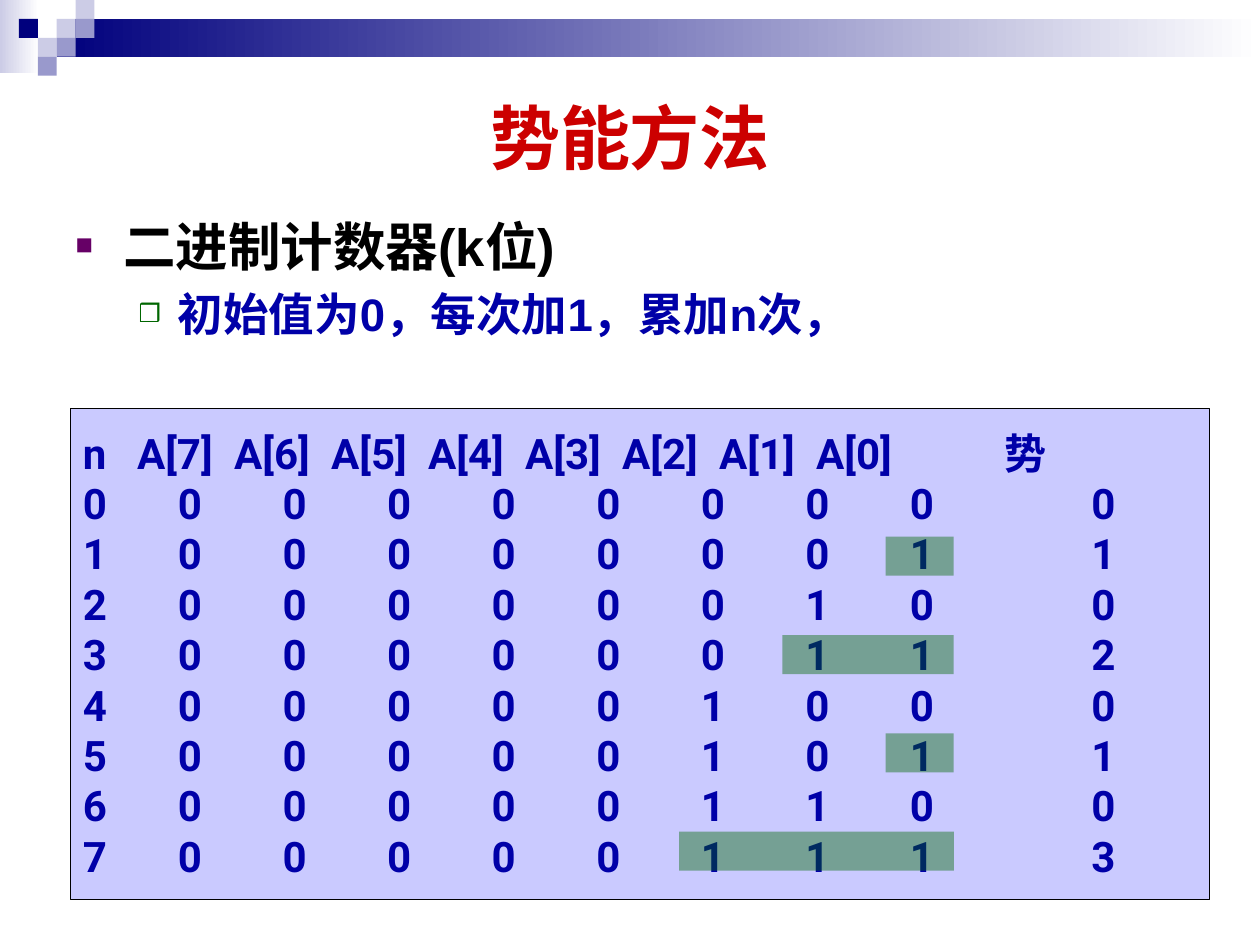
from dataclasses import dataclass

from lxml import etree
from pptx import Presentation
from pptx import util as u
from pptx.dml.color import RGBColor
from pptx.enum import shapes, text
from pptx.oxml import ns


@dataclass(frozen=True)
class Theme:
    """Colours, fonts and type sizes of the slide."""
    red: str = "CC0000"
    black: str = "000000"
    white: str = "FFFFFF"
    navy: str = "00007D"
    blue: str = "0000A8"
    lilac: str = "9999CC"
    pale: str = "CCCCE6"
    panel: str = "CACAFF"
    green: str = "006600"
    purple: str = "660066"
    font: str = "Arial"
    counter_font: str = "Roboto"
    title_size: int = 40
    list_sizes: tuple = (30, 26)
    counter_size: int = 24


def add_xml(parent, tag, **attributes):
    """Append a DrawingML element and return it."""
    return etree.SubElement(parent, ns.qn(tag), attributes)


class SlideBuilder:
    """Holds the theme and the current slide."""

    def __init__(self, deck, theme):
        """Start a slide with a title and a body."""
        self.theme = theme
        self.slide = deck.slides.add_slide(deck.slide_layouts[1])

    def style(self, paragraph, size, color, font):
        """Format every run of a paragraph."""
        for run in paragraph.runs:
            run.font.size = u.Pt(size)
            run.font.name = font
            run.font.bold = True
            run.font.color.rgb = RGBColor.from_string(color)

    def place(self, holder, left, top, width, height):
        """Move a placeholder and keep its type size fixed."""
        holder.left, holder.top = u.Inches(left), u.Inches(top)
        holder.width, holder.height = u.Inches(width), u.Inches(height)
        holder.text_frame.auto_size = text.MSO_AUTO_SIZE.NONE

    def title(self, wording, *box):
        """Fill the title placeholder."""
        holder = self.slide.shapes.title
        self.place(holder, *box)
        holder.text_frame.text = wording
        holder.text_frame.vertical_anchor = text.MSO_ANCHOR.MIDDLE
        heading = holder.text_frame.paragraphs[0]
        heading.alignment = text.PP_ALIGN.CENTER
        self.style(heading, self.theme.title_size, self.theme.red, self.theme.font)

    def bullets(self, items, *box):
        """Fill the body placeholder with one item per level."""
        t = self.theme
        levels = ((0.38, -0.38, "■", t.purple, t.black),
                  (0.81, -0.31, "❒", t.green, t.blue))
        body = self.slide.placeholders[1]
        self.place(body, *box)
        body.text_frame.text = "\n".join(items)
        for level, item in enumerate(body.text_frame.paragraphs):
            margin, indent, mark, mark_color, color = levels[level]
            size = t.list_sizes[level]
            item.level = level
            props = item._p.get_or_add_pPr()
            props.set("marL", str(u.Inches(margin)))
            props.set("indent", str(u.Inches(indent)))
            add_xml(add_xml(props, "a:buClr"), "a:srgbClr", val=mark_color)
            add_xml(props, "a:buSzPct", val="55000")
            add_xml(props, "a:buFont", typeface=t.font)
            add_xml(props, "a:buChar", char=mark)
            item.line_spacing = 1.05
            item.space_before = u.Pt(0.15 * size)
            self.style(item, size, color, t.font)

    def rect(self, left, top, width, height, fill, fade_to=None, opacity=None, line=None):
        """Draw a solid, fading or see-through rectangle."""
        block = self.slide.shapes.add_shape(
            shapes.MSO_SHAPE.RECTANGLE,
            u.Inches(left), u.Inches(top), u.Inches(width), u.Inches(height))
        block.shadow.inherit = False
        if fade_to:
            block.fill.gradient()
            block.fill.gradient_angle = 0
            for stop, color in zip(block.fill.gradient_stops, (fill, fade_to)):
                stop.color.rgb = RGBColor.from_string(color)
        else:
            block.fill.solid()
            block.fill.fore_color.rgb = RGBColor.from_string(fill)
        if opacity:
            color = block._element.spPr.find(".//" + ns.qn("a:srgbClr"))
            add_xml(color, "a:alpha", val=str(opacity * 1000))
        if line:
            block.line.color.rgb = RGBColor.from_string(line)
            block.line.width = u.Pt(0.75)
        else:
            block.line.fill.background()
        return block

    def tabbed_panel(self, rows, stops, *box):
        """Draw a panel whose rows are set on centred tab stops."""
        t = self.theme
        panel = self.rect(*box, t.panel, line=t.black)
        frame = panel.text_frame
        frame.word_wrap = True
        frame.vertical_anchor = text.MSO_ANCHOR.MIDDLE
        frame.text = "\n".join("\t".join(row) for row in rows)
        for line, positions in zip(frame.paragraphs, stops):
            line.alignment = text.PP_ALIGN.LEFT
            tabs = add_xml(line._p.get_or_add_pPr(), "a:tabLst")
            for position in positions:
                add_xml(tabs, "a:tab", pos=str(u.Inches(position)), algn="ctr")
            self.style(line, t.counter_size, t.blue, t.counter_font)


def draw_banner(page):
    """Draw the fading bar and the small squares at the top."""
    t = page.theme
    page.rect(0, 0, 0.31, 0.58, t.pale, fade_to=t.white)
    page.rect(0.45, 0.15, 9.55, 0.3, t.navy, fade_to=t.white)
    side = 0.15
    squares = ((3, 1, t.pale), (4, 0, t.pale), (4, 1, t.lilac), (2, 2, t.pale),
               (1, 1, t.navy), (3, 2, t.lilac), (2, 3, t.lilac))
    for column, row, color in squares:
        page.rect(column * side, row * side, side, side, color)


def trailing_ones(bits):
    """Count the ones at the right end of a bit string."""
    return len(bits) - len(bits.rstrip("1"))


def draw_counter(page):
    """Draw the counter states and mark their trailing ones."""
    width, count = 8, 8
    states = [format(n, f"0{width}b") for n in range(count)]
    header = ["n", *(f"A[{bit}]" for bit in reversed(range(width))), "势"]
    rows = [header] + [[str(n), *bits, str(trailing_ones(bits))]
                       for n, bits in enumerate(states)]
    header_stops = [0.73 + 0.77 * i for i in range(width)] + [7.48]
    value_stops = [0.85 + 0.83 * i for i in range(width)] + [8.1]
    page.tabbed_panel(rows, [header_stops] + [value_stops] * count,
                      0.56, 3.24, 9.04, 3.9)

    right, first_top, row_step = 7.57, 3.87, 0.39
    for n, bits in enumerate(states):
        ones = trailing_ones(bits)
        if ones:
            span = 0.54 + 0.82 * (ones - 1)
            page.rect(right - span, first_top + row_step * n, span, 0.31,
                      page.theme.green, opacity=42)


def main():
    """Build and save the slide."""
    deck = Presentation()
    deck.slide_width, deck.slide_height = u.Inches(10), u.Inches(7.5)
    page = SlideBuilder(deck, Theme())
    draw_banner(page)
    page.title("势能方法", 0.5, 0.5, 9, 1.16)
    page.bullets(["二进制计数器(k位)", "初始值为0，每次加1，累加n次，"],
                 0.5, 1.62, 9, 5.2)
    draw_counter(page)
    deck.save("out.pptx")


main()
